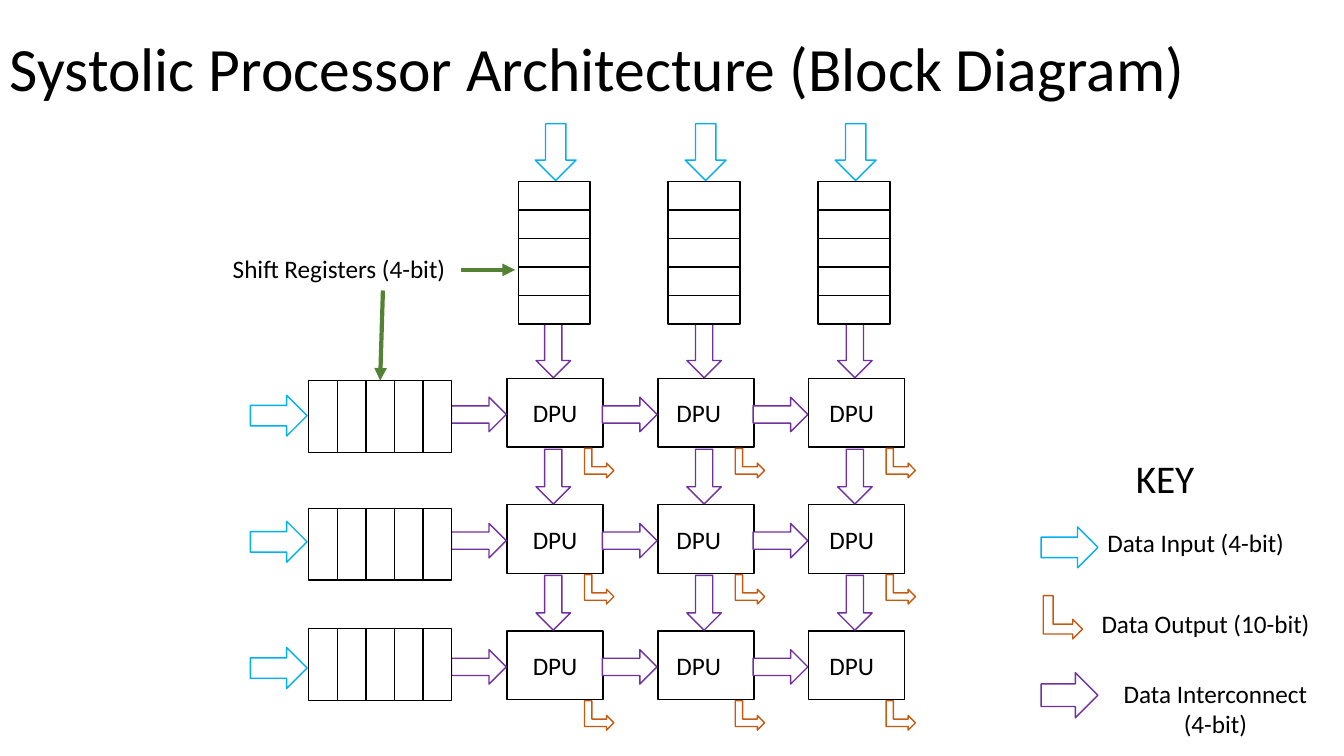
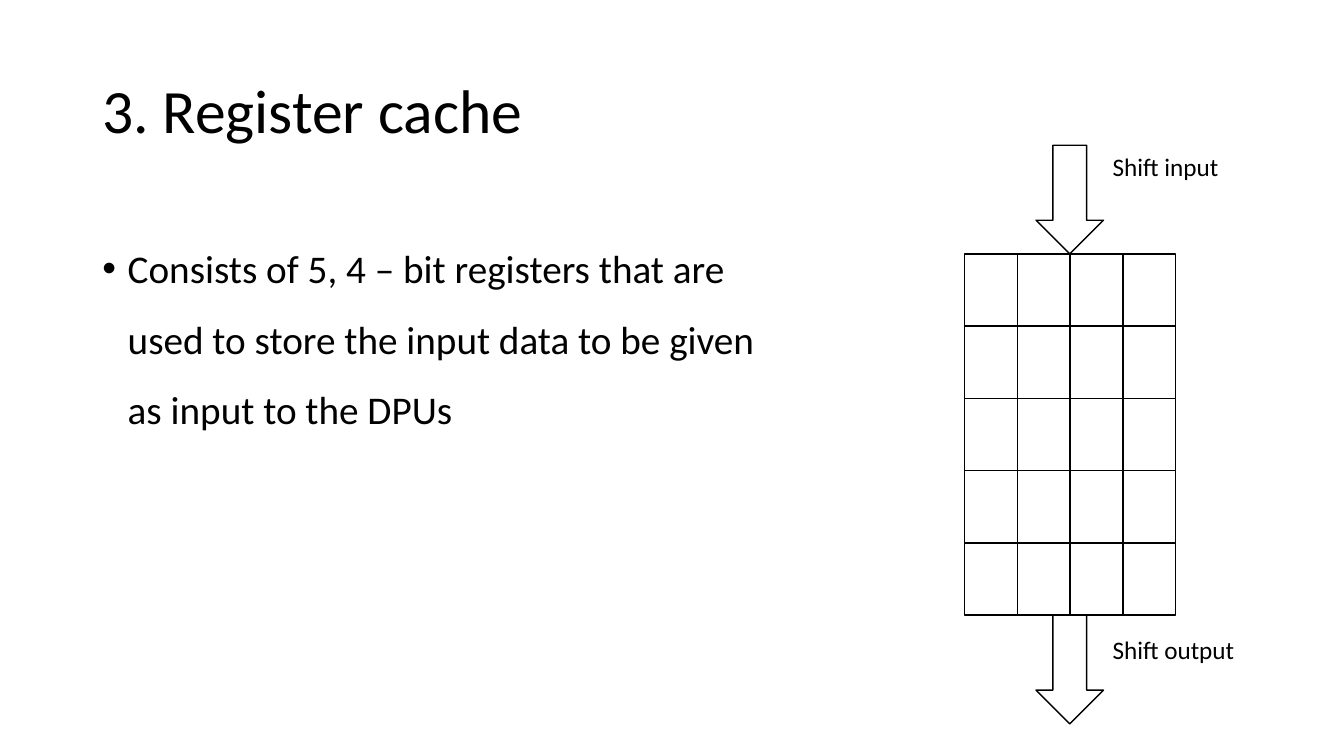
from lxml.etree import SubElement
from pptx import Presentation
from pptx.dml.color import RGBColor
from pptx.enum.shapes import MSO_CONNECTOR as LINE, MSO_SHAPE as SHAPE
from pptx.enum.text import MSO_ANCHOR as ANCHOR, PP_ALIGN as ALIGN
from pptx.oxml import parse_xml
from pptx.oxml.ns import nsdecls, qn
from pptx.util import Cm, Pt

BLACK = RGBColor(0x00, 0x00, 0x00)
WHITE = RGBColor(0xFF, 0xFF, 0xFF)
BLUE = RGBColor(0x00, 0xB0, 0xF0)
PURPLE = RGBColor(0x70, 0x30, 0xA0)
ORANGE = RGBColor(0xC5, 0x5A, 0x11)
GREEN = RGBColor(0x54, 0x82, 0x35)

BOX, BENT = SHAPE.RECTANGLE, SHAPE.BENT_UP_ARROW
RIGHT, DOWN = SHAPE.RIGHT_ARROW, SHAPE.DOWN_ARROW


def draw(slide, kind, x, y, w, h, color=BLACK):
    """Outlined shape; bent arrows are turned and hollow."""
    shape = slide.shapes.add_shape(kind, Cm(x), Cm(y), Cm(w), Cm(h))
    shape.shadow.inherit = False
    shape.line.color.rgb = color
    shape.line.width = Pt(1)
    if kind == BENT:
        shape.rotation = 90
        shape.fill.background()
    else:
        shape.fill.solid()
        shape.fill.fore_color.rgb = WHITE
    return shape


def write(frame, words, size=18, align=ALIGN.LEFT):
    """Fill a text frame with one paragraph in the common font."""
    frame.word_wrap = True
    par = frame.paragraphs[0]
    par.text = words
    par.alignment = align
    par.font.name = "Calibri"
    par.font.size = Pt(size)
    par.font.color.rgb = BLACK
    return par


deck = Presentation()
deck.slide_width, deck.slide_height = Cm(33.87), Cm(19.05)

# Slides with their titles
pages = []
for words, x, y, w in [
    ("Systolic Processor Architecture (Block Diagram)", 0, -0.03, 31.17),
    ("3. Register cache", 2.33, 1.01, 29.21),
]:
    page = deck.slides.add_slide(deck.slide_layouts[6])
    frame = page.shapes.add_textbox(Cm(x), Cm(y), Cm(w), Cm(3.68)).text_frame
    frame.vertical_anchor = ANCHOR.MIDDLE
    write(frame, words, 44).line_spacing = 0.9
    pages.append(page)
array, cache = pages

# Processor grid: each unit with its links and output
STEP_X, STEP_Y = 3.8, 3.18
NUDGE = [0, 0.36, 0.25]
for row in range(3):
    for col in range(3):
        dx, dy = col * STEP_X, row * STEP_Y
        unit = draw(array, BOX, 12.78 + dx, 9.54 + dy, 2.42, 1.73)
        frame = unit.text_frame
        frame.margin_right = Cm(0.25 + NUDGE[col])
        write(frame, "DPU", align=ALIGN.CENTER)
        draw(array, DOWN, 13.51 + dx, 8.14 + dy, 0.87, 1.38, PURPLE)
        draw(array, RIGHT, 11.38 + dx, 10.01 + dy, 1.38, 0.87, PURPLE)
        draw(array, BENT, 14.73 + dx, 11.3 + dy, 0.74, 0.74, ORANGE)

# Shift registers and their inputs
LONG, SHORT = 1.81, 0.72
tops = [9.59, 12.81, 15.84]
cells = []
for lane, top in enumerate(tops):
    left = 13.06 + lane * 3.78
    draw(array, DOWN, left + 0.43, 3.12, 1.03, 1.43, BLUE)
    draw(array, RIGHT, 6.31, 9.96 + lane * STEP_Y, 1.43, 1.03, BLUE)
    for part in range(5):
        draw(array, BOX, left, 4.57 + part * SHORT, LONG, SHORT)
        cells.append(draw(array, BOX, 7.78 + part * SHORT, top, SHORT, LONG))

# Pointers from the register label
across = array.shapes.add_connector(LINE.STRAIGHT, Cm(11.61), Cm(6.8), Cm(12.98), Cm(6.8))
drop = array.shapes.add_connector(LINE.STRAIGHT, Cm(9.65), Cm(7.32), Cm(9.58), Cm(9.59))
drop.end_connect(cells[2], 0)
for link in (across, drop):
    link.line.color.rgb = GREEN
    link.line.width = Pt(3)
    SubElement(link.line._get_or_add_ln(), qn("a:tailEnd"), type="triangle")
    SubElement(link._element.spPr, qn("a:effectLst"))

# Key symbols
draw(array, RIGHT, 26.24, 13.28, 1.43, 1.03, BLUE)
draw(array, BENT, 26.24, 15.06, 1.09, 0.99, ORANGE)
draw(array, RIGHT, 26.24, 16.95, 1.43, 1.14, PURPLE)

# Labels on both slides
for page, words, x, y, w, h, size, align in [
    (array, "Shift Registers (4-bit)", 3.53, 6.27, 10.03, 1.02, 18, ALIGN.CENTER),
    (array, "KEY", 26.39, 11.33, 5.94, 1.45, 28, ALIGN.CENTER),
    (array, "Data Input (4-bit)", 27.66, 13.16, 5.94, 1.02, 18, ALIGN.LEFT),
    (array, "Data Output (10-bit)", 27.51, 15.21, 5.94, 1.02, 18, ALIGN.LEFT),
    (array, "Data Interconnect (4-bit)", 27.66, 16.97, 5.94, 1.8, 18, ALIGN.CENTER),
    (cache, "Shift input", 27.79, 3.68, 3.73, 1.02, 18, ALIGN.LEFT),
    (cache, "Shift output", 27.79, 15.85, 3.73, 1.02, 18, ALIGN.LEFT),
]:
    label = page.shapes.add_textbox(Cm(x), Cm(y), Cm(w), Cm(h))
    write(label.text_frame, words, size, align)

# Register cache: bullet text
body = cache.shapes.add_textbox(Cm(2.33), Cm(5.44), Cm(17.58), Cm(11.99))
par = write(
    body.text_frame,
    "Consists of 5, 4 – bit registers that are used to store "
    "the input data to be given as input to the DPUs",
    28,
)
par.line_spacing = 1.5
par.space_before = Pt(10)
props = par._p.get_or_add_pPr()
props.set("marL", str(Cm(0.64)))
props.set("indent", str(Cm(-0.64)))
for mark in ('<a:buFont %s typeface="Arial"/>', '<a:buChar %s char="•"/>'):
    props[-1].addprevious(parse_xml(mark % nsdecls("a")))

# Register cache: five registers of four bits
for row in range(5):
    for bit in range(4):
        draw(cache, BOX, 24.31 + bit * 1.33, 6.4 + row * 1.82, 1.33, 1.82)
for top in (3.66, 15.5):
    draw(cache, DOWN, 26.11, top, 1.7, 2.74)

deck.save("out.pptx")
